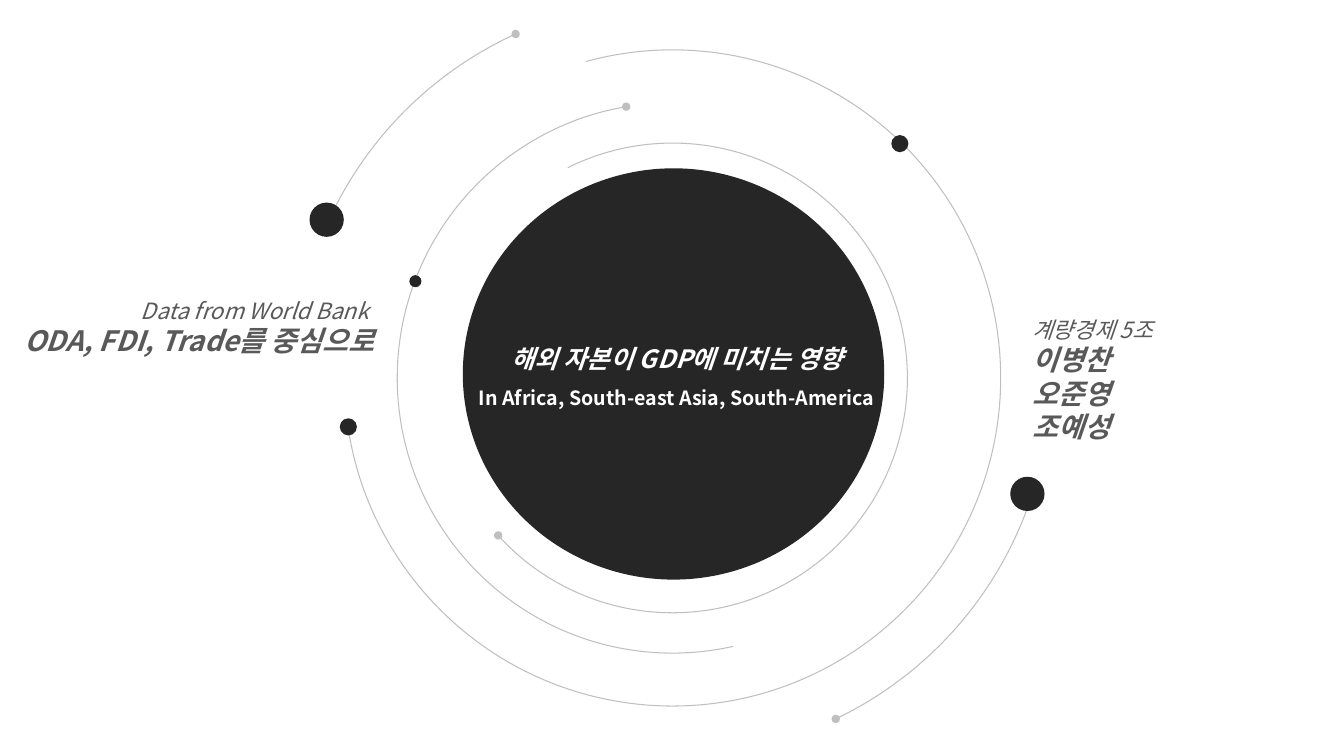
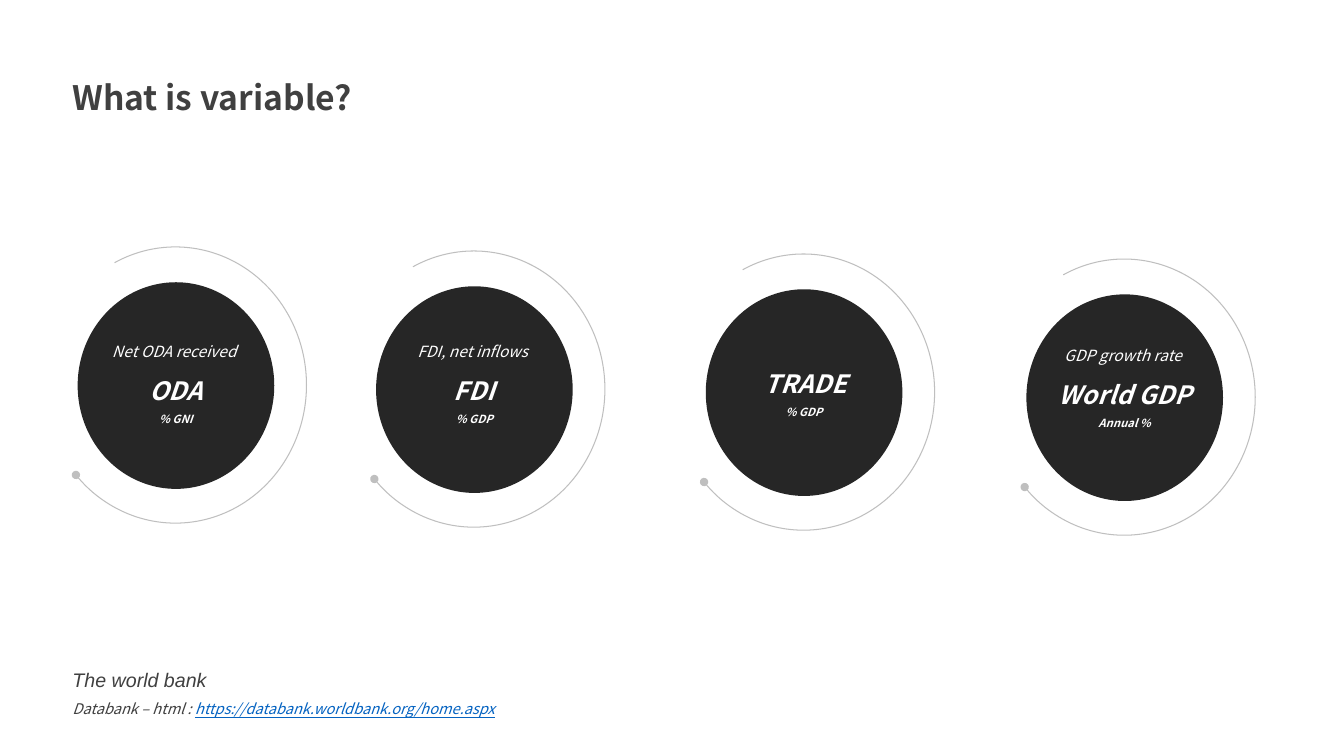
"""Builds two slides of orbit diagrams about foreign capital and GDP growth."""
import dataclasses

import lxml.etree
import pptx
import pptx.dml.color
import pptx.enum.shapes
import pptx.enum.text
import pptx.oxml.ns
import pptx.util

Inches = pptx.util.Inches
Pt = pptx.util.Pt
Shape = pptx.enum.shapes.MSO_SHAPE
Align = pptx.enum.text.PP_ALIGN
Anchor = pptx.enum.text.MSO_ANCHOR
AutoSize = pptx.enum.text.MSO_AUTO_SIZE
qn = pptx.oxml.ns.qn


@dataclasses.dataclass(frozen=True)
class Theme:
    """Colours, fonts and type sizes shared by the slides."""
    dark: str = "262626"
    orbit: str = "BFBFBF"
    heading: str = "404040"
    label: str = "595959"
    white: str = "FFFFFF"
    link: str = "0563C1"
    font: str = "Noto Sans CJK KR"
    source_font: str = "Arial"
    title: float = 24
    name: float = 20
    headline: float = 18
    lead: float = 16
    body: float = 14
    caption: float = 11
    address: float = 10.5
    unit: float = 8


class Builder:
    """Holds the theme and the current slide, and draws elements on it."""

    def __init__(self, deck, theme):
        """Keep the deck and theme."""
        self.deck, self.theme = deck, theme
        self.canvas = None

    def new_page(self):
        """Start a blank slide."""
        self.page = self.deck.slides.add_slide(self.deck.slide_layouts[6])
        self.canvas = self.page.shapes

    def disc(self, left, top, width, height=None):
        """Draw a dark ellipse, round unless a height is given."""
        disc = self.canvas.add_shape(Shape.OVAL, Inches(left), Inches(top),
                                     Inches(width), Inches(height or width))
        disc.shadow.inherit = False
        disc.fill.solid()
        disc.fill.fore_color.rgb = pptx.dml.color.RGBColor.from_string(self.theme.dark)
        disc.line.fill.background()

    def orbit(self, left, top, width, height, start, end):
        """Draw an arc between two angles in degrees, ending in a dot."""
        arc = self.canvas.add_shape(Shape.ARC, Inches(left), Inches(top),
                                    Inches(width), Inches(height))
        arc.shadow.inherit = False
        for index, degrees in enumerate((start, end)):
            arc.adjustments[index] = degrees * 0.6
        arc.fill.background()
        arc.line.color.rgb = pptx.dml.color.RGBColor.from_string(self.theme.orbit)
        arc.line.width = Pt(0.75)
        outline = arc.element.spPr.find(qn("a:ln"))
        lxml.etree.SubElement(outline, qn("a:tailEnd"), type="oval")

    def span(self, para, text, size, color, font=None, **style):
        """Add a formatted run."""
        span = para.add_run()
        span.text = text
        name = font or self.theme.font
        for key, value in {"name": name, "size": Pt(size), **style}.items():
            setattr(span.font, key, value)
        span.font.color.rgb = pptx.dml.color.RGBColor.from_string(color)
        lxml.etree.SubElement(span.font._element, qn("a:ea"), typeface=name)

    def text(self, left, top, width, height, lines, frame=None, **layout):
        """Add a text box; each line is a list of run formats."""
        box = self.canvas.add_textbox(Inches(left), Inches(top), Inches(width), Inches(height))
        frame = frame or {"auto_size": AutoSize.SHAPE_TO_FIT_TEXT}
        for key, value in {"word_wrap": True, **frame}.items():
            setattr(box.text_frame, key, value)
        for index, line in enumerate(lines):
            para = box.text_frame.add_paragraph() if index else box.text_frame.paragraphs[0]
            for key, value in layout.items():
                setattr(para, key, value)
            for span in line:
                self.span(para, **span)

    def side_label(self, left, top, width, lead, names, alignment):
        """Add a light lead line above bold names."""
        frame = {"vertical_anchor": Anchor.MIDDLE, "margin_left": 0, "margin_right": 0,
                 "margin_top": 0, "margin_bottom": Inches(0.38)}
        style = {"color": self.theme.label, "italic": True}
        lines = [[dict(text=lead, size=self.theme.lead, **style)]]
        lines += [[dict(text=name, size=self.theme.name, bold=True, **style)] for name in names]
        self.text(left, top, width, 1.27, lines, frame, alignment=alignment)

    def title(self, text):
        """Add the slide title."""
        self.text(0.62, 0.51, 11.8, 0.63,
                  [[dict(text=text, size=self.theme.title, color=self.theme.heading, bold=True)]],
                  line_spacing=1.5)

    def dial(self, left, top, text_top, caption, name, unit):
        """Draw one variable as a grouped disc, label and orbit."""
        self.canvas = self.page.shapes.add_group_shape().shapes
        self.disc(left, top, 1.95, 2.05)
        style = {"color": self.theme.white, "italic": True}
        lines = [[dict(text=name, size=self.theme.headline, bold=True, **style)],
                 [dict(text=unit, size=self.theme.unit, bold=True, **style)]]
        if caption.strip():
            lines.insert(0, [dict(text=caption, size=self.theme.caption, **style)])
        else:
            lines[0].insert(0, dict(text=caption, size=self.theme.caption, **style))
        self.text(left, text_top, 1.95, 1.01 if caption.strip() else 0.73, lines,
                  alignment=Align.CENTER, line_spacing=1.5)
        self.orbit(left - 0.33, top - 0.35, 2.6, 2.74, *INNER_SWEEP)
        self.canvas = self.page.shapes


INNER_SWEEP = (243.54, 137.88)
ORBIT_CENTER = (6.67, 3.75)
ORBITS = [(4.66, *INNER_SWEEP), (5.46, 77.31, 260.32), (6.51, 254.74, 171.62),
          (7.5, 18.97, 64.41), (7.5, 203.74, 245.49)]
PLANETS = [(10.02, 4.73, 0.34), (3.07, 2.01, 0.34), (3.37, 4.15, 0.17),
           (4.06, 2.73, 0.12), (8.84, 1.34, 0.17)]
DIALS = [(0.77, 2.8, 3.25, "Net ODA received ", "ODA", "% GNI"),
         (3.73, 2.84, 3.25, "FDI, net inflows ", "FDI", "% GDP"),
         (7, 2.87, 3.46, " ", "TRADE", "% GDP"),
         (10.18, 2.92, 3.29, "GDP growth rate ", "World GDP", "Annual %")]


def cover(builder):
    """Draw the cover with its orbits."""
    theme = builder.theme
    builder.new_page()
    builder.disc(4.59, 1.67, 4.18, 4.08)
    style = {"color": theme.white, "bold": True}
    builder.text(4.48, 3.21, 4.47, 0.86, [
        [dict(text="해외 자본이 GDP에 미치는 영향", size=theme.headline, italic=True, **style)],
        [dict(text="In Africa, South-east Asia, South-America", size=theme.body, **style)],
    ], alignment=Align.CENTER, line_spacing=1.5)
    for size, start, end in ORBITS:
        left, top = (middle - size / 2 for middle in ORBIT_CENTER)
        builder.orbit(left, top, size, size, start, end)
    for planet in PLANETS:
        builder.disc(*planet)
    builder.side_label(0, 2.8, 3.71, "Data from World Bank ",
                       ["ODA, FDI, Trade를 중심으로"], Align.RIGHT)
    builder.side_label(10.24, 3.32, 3.09, "계량경제 5조 ",
                       ["이병찬", "오준영", "조예성"], Align.LEFT)


def variables(builder):
    """Draw the variables slide."""
    theme = builder.theme
    builder.new_page()
    style = {"color": theme.heading, "italic": True}
    builder.text(0.62, 6.46, 10.94, 0.95, [
        [dict(text="The world bank", size=theme.body, font=theme.source_font, **style)],
        [dict(text="Databank – html : ", size=theme.address, **style),
         dict(text="https://databank.worldbank.org/home.aspx", size=theme.address,
              color=theme.link, italic=True, underline=True)],
    ], line_spacing=1.5)
    builder.title("What is variable?")
    for dial in DIALS:
        builder.dial(*dial)


deck = pptx.Presentation()
deck.slide_width, deck.slide_height = Inches(13.33), Inches(7.5)
builder = Builder(deck, Theme())
cover(builder)
variables(builder)
deck.save("out.pptx")
